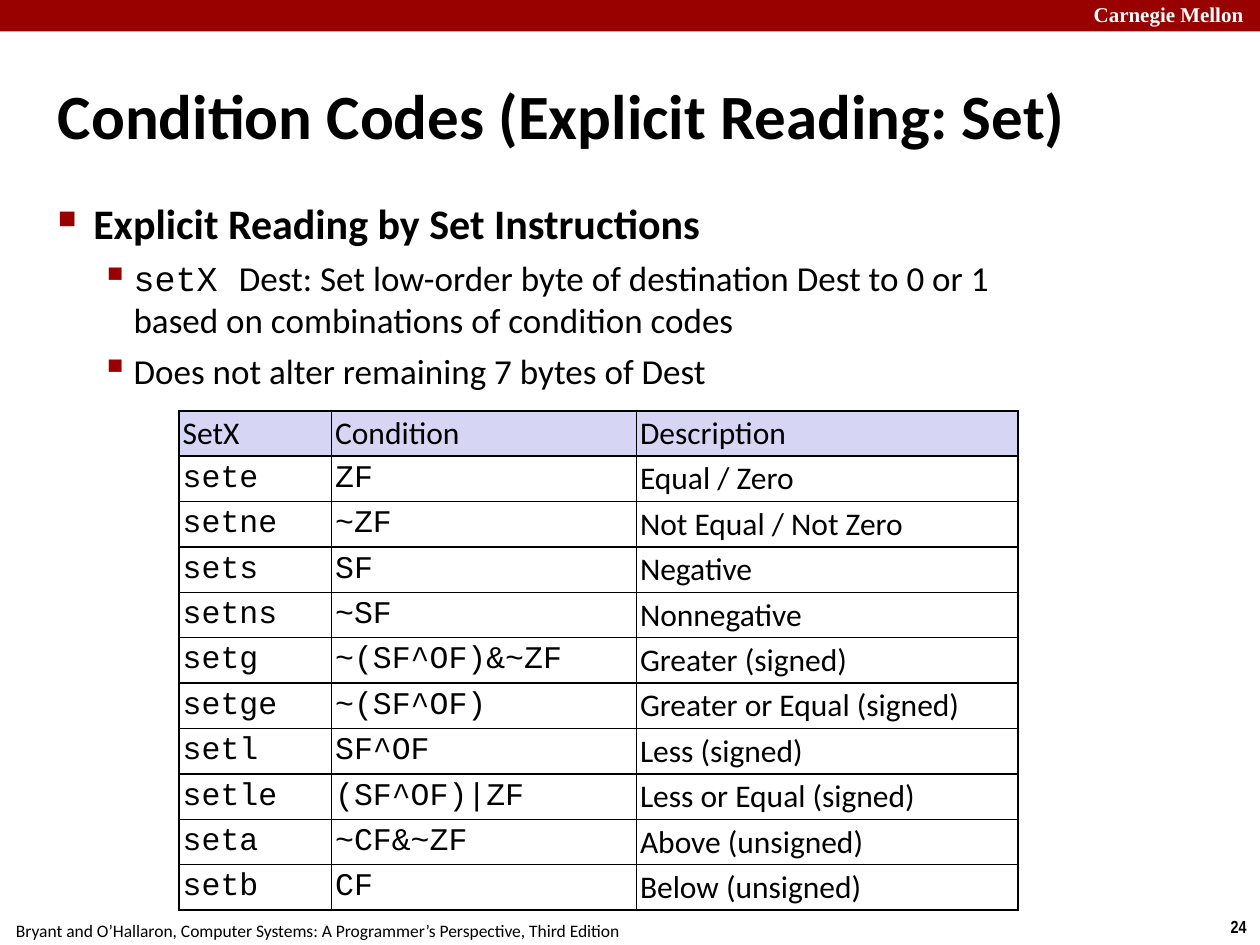
"""Build the slide on reading condition codes with the set instructions."""
from pptx import Presentation, util as u
from pptx.dml.color import RGBColor
from pptx.enum import shapes, text
from pptx.oxml import parse_xml
from pptx.oxml.ns import nsdecls

HUES = {"red": "990000", "ink": "000000", "white": "FFFFFF", "head": "D6D6F4"}
SANS, MONO = "Calibri", "Courier New"
LEFT, MID = text.PP_ALIGN.LEFT, text.PP_ALIGN.CENTER

# Places are left, top, width and height in percent of the slide.
BAR = (0, 0, 100.1, 3.33)
LABELS = [
    ((96.6, 96.27, 3.4, 3.6), "24", MID, False,
     {"name": "Arial Narrow", "size": 10, "bold": True}),
    ((-0.2, 96.67, 50.8, 3.6),
     "Bryant and O’Hallaron, Computer Systems: A Programmer’s Perspective, Third Edition",
     MID, False, {"name": SANS, "size": 10}),
    ((86.4, -0.4, 14.4, 3.73), "Carnegie Mellon", LEFT, True,
     {"name": "Times New Roman", "size": 12, "bold": True, "hue": "white"}),
]
TITLE = ((4.2, 3.73, 91.7, 16.67), "Condition Codes (Explicit Reading: Set)")
BODY = (4.2, 20.4, 89.8, 79.2)
LEVELS = [
    {"left": 0.28, "hang": 0.28, "mark": "■", "scale": 60, "size": 24, "bold": True},
    {"left": 0.6, "hang": 0.26, "mark": "▪", "scale": 110, "size": 20, "bold": False},
]
POINTS = [
    (0, [(SANS, "Explicit Reading by Set Instructions")]),
    (1, [(MONO, "setX "),
         (SANS, "Dest: Set low-order byte of destination Dest to 0 or 1\n"
                "based on combinations of condition codes")]),
    (1, [(SANS, "Does not alter remaining 7 bytes of Dest")]),
]
GRID, COLS, ROW = (14.2, 43.47), (12.1, 24.2, 30.3), 4.53
ROWS = [
    ("SetX", "Condition", "Description"),
    ("sete", "ZF", "Equal / Zero"),
    ("setne", "~ZF", "Not Equal / Not Zero"),
    ("sets", "SF", "Negative"),
    ("setns", "~SF", "Nonnegative"),
    ("setg", "~(SF^OF)&~ZF", "Greater (signed)"),
    ("setge", "~(SF^OF)", "Greater or Equal (signed)"),
    ("setl", "SF^OF", "Less (signed)"),
    ("setle", "(SF^OF)|ZF", "Less or Equal (signed)"),
    ("seta", "~CF&~ZF", "Above (unsigned)"),
    ("setb", "CF", "Below (unsigned)"),
]

deck = Presentation()
deck.slide_width, deck.slide_height = u.Inches(10), u.Inches(7.5)
slide = deck.slides.add_slide(deck.slide_layouts[6])


def wide(share):
    return round(deck.slide_width * share / 100)


def high(share):
    return round(deck.slide_height * share / 100)


def place(box):
    return wide(box[0]), high(box[1]), wide(box[2]), high(box[3])


def color(hue):
    return RGBColor.from_string(HUES[hue])


def inset(owner, gap):
    for side in ("left", "top", "right", "bottom"):
        setattr(owner, f"margin_{side}", u.Inches(gap))


def write(para, words, name, size, bold=False, hue="ink"):
    for i, line in enumerate(words.split("\n")):
        if i:
            para.add_line_break()
        run = para.add_run()
        run.text = line
        look = {"name": name, "size": u.Pt(size), "bold": bold}
        for key, value in look.items():
            setattr(run.font, key, value)
        run.font.color.rgb = color(hue)


def frame(box, wrap=True, gap=0.04):
    area = slide.shapes.add_textbox(*place(box)).text_frame
    area.word_wrap = wrap
    if wrap:
        inset(area, gap)
    return area


def indent(para, left, hang):
    props = para._p.get_or_add_pPr()
    props.set("marL", str(u.Inches(left)))
    props.set("indent", str(-u.Inches(hang)))
    return props


def bullet(para, level):
    props = indent(para, level["left"], level["hang"])
    for tag in (f'<a:buClr {nsdecls("a")}><a:srgbClr val="{HUES["red"]}"/></a:buClr>',
                f'<a:buSzPct {nsdecls("a")} val="{level["scale"]}000"/>',
                f'<a:buChar {nsdecls("a")} char="{level["mark"]}"/>'):
        props.append(parse_xml(tag))


def border(cell):
    props = cell._tc.get_or_add_tcPr()
    for side in "LRTB":
        props.append(parse_xml(
            f'<a:ln{side} {nsdecls("a")} w="{u.Pt(1)}"><a:solidFill>'
            f'<a:srgbClr val="{HUES["ink"]}"/></a:solidFill></a:ln{side}>'))


def draw_labels():
    bar = slide.shapes.add_shape(shapes.MSO_SHAPE.RECTANGLE, *place(BAR))
    bar.shadow.inherit = False
    bar.fill.solid()
    bar.fill.fore_color.rgb = color("red")
    bar.line.fill.background()
    for box, words, align, wrap, look in LABELS:
        para = frame(box, wrap).paragraphs[0]
        para.alignment = align
        write(para, words, **look)


def draw_body():
    box, words = TITLE
    area = frame(box)
    area.vertical_anchor = text.MSO_ANCHOR.MIDDLE
    indent(area.paragraphs[0], 0.13, 0.13)
    write(area.paragraphs[0], words, SANS, 36, True)
    area = frame(BODY)
    for i, (rank, parts) in enumerate(POINTS):
        para = area.add_paragraph() if i else area.paragraphs[0]
        level = LEVELS[rank]
        para.level = rank
        bullet(para, level)
        if i:
            para.space_before = u.Pt(5)
        for name, words in parts:
            write(para, words, name, level["size"], level["bold"])


def draw_table():
    box = (*GRID, sum(COLS), ROW * len(ROWS))
    table = slide.shapes.add_table(len(ROWS), len(COLS), *place(box)).table
    for col, share in zip(table.columns, COLS):
        col.width = wide(share)
    for r, row in enumerate(ROWS):
        table.rows[r].height = high(ROW)
        for c, words in enumerate(row):
            cell = table.cell(r, c)
            inset(cell, 0.03)
            cell.vertical_anchor = text.MSO_ANCHOR.MIDDLE
            border(cell)
            if r:
                cell.fill.background()
            else:
                cell.fill.solid()
                cell.fill.fore_color.rgb = color("head")
            name = MONO if r and c < 2 else SANS
            write(cell.text_frame.paragraphs[0], words, name, 18)


draw_labels()
draw_body()
draw_table()
deck.save("out.pptx")
